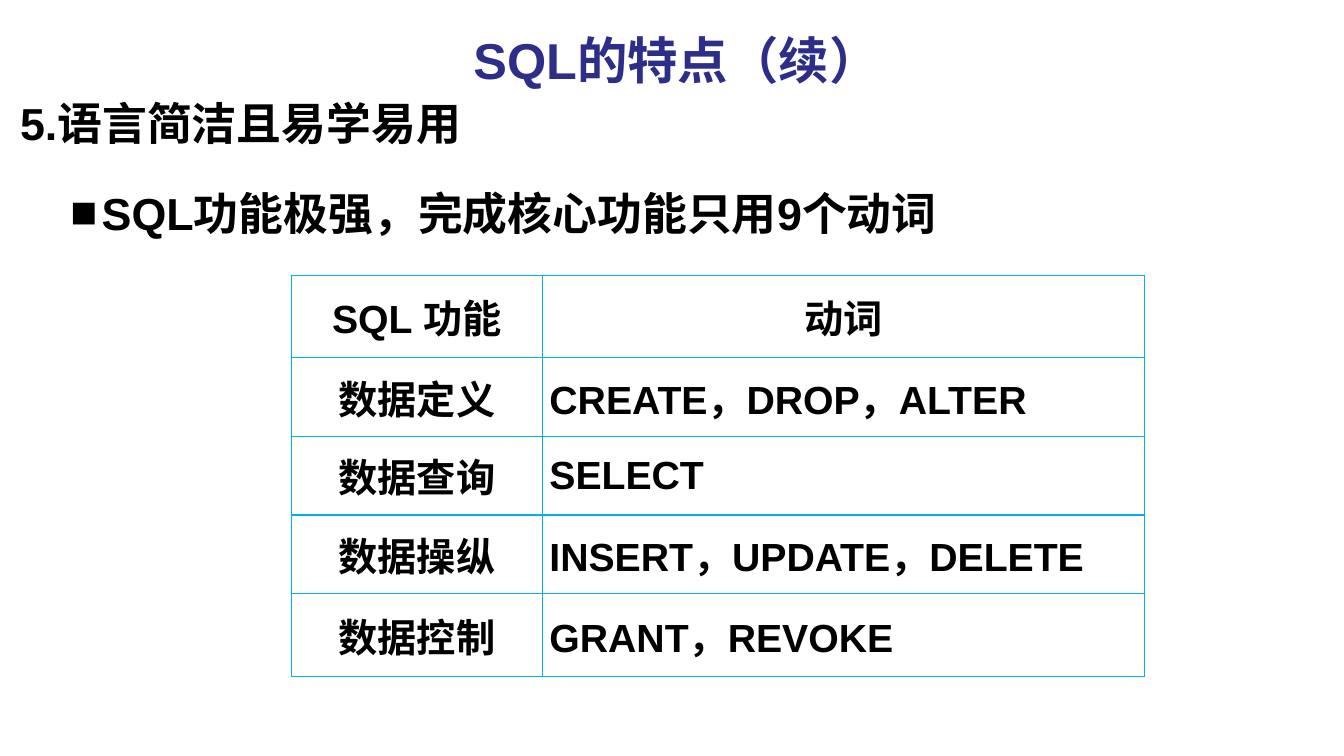
from lxml.etree import SubElement
from pptx import Presentation
from pptx.dml.color import RGBColor
from pptx.enum.shapes import MSO_SHAPE
from pptx.enum.text import MSO_ANCHOR, PP_ALIGN
from pptx.oxml.ns import qn
from pptx.util import Emu, Inches, Pt

FONT = "Arial"
BLACK, WHITE, NAVY, CYAN = "000000", "FFFFFF", "2D2D8A", "00B0F0"
COLUMN_WIDTHS = (2.49, 5.97)
ROW_HEIGHTS = (0.82, 0.78, 0.78, 0.78, 0.82)
VERBS = (
    ("SQL\u00a0功能", "动词"),
    ("数据定义", "CREATE，DROP，ALTER"),
    ("数据查询", "SELECT"),
    ("数据操纵", "INSERT，UPDATE，DELETE"),
    ("数据控制", "GRANT，REVOKE"),
)


def color(hex_string):
    """Turn a hex string into a colour."""
    return RGBColor.from_string(hex_string)


def write(para, text, size, hex_string=BLACK, align=PP_ALIGN.LEFT):
    """Fill a paragraph with bold text."""
    para.text = text
    para.alignment = align
    para.font.name = FONT
    para.font.size = Pt(size)
    para.font.bold = True
    para.font.color.rgb = color(hex_string)


def add_bullet(para, symbol, margin, indent):
    """Give a paragraph a hanging bullet."""
    properties = para._p.get_or_add_pPr()
    properties.set("marL", str(Inches(margin)))
    properties.set("indent", str(Inches(indent)))
    SubElement(properties, qn("a:buFont")).set("typeface", FONT)
    SubElement(properties, qn("a:buChar")).set("char", symbol)


def add_borders(cell, hex_string, width):
    """Draw a line on all four sides of a cell."""
    properties = cell._tc.get_or_add_tcPr()
    for index, side in enumerate(("lnL", "lnR", "lnT", "lnB")):
        line = SubElement(properties, qn(f"a:{side}"), w=str(Pt(width)))
        fill = SubElement(line, qn("a:solidFill"))
        SubElement(fill, qn("a:srgbClr")).set("val", hex_string)
        properties.insert(index, line)


def add_title(page, box):
    """Place the centred slide title."""
    frame = page.shapes.add_textbox(*box).text_frame
    frame.word_wrap = True
    frame.vertical_anchor = MSO_ANCHOR.MIDDLE
    write(frame.paragraphs[0], "SQL的特点（续）", 36, NAVY, PP_ALIGN.CENTER)


def add_body(page, box):
    """Place the white panel with the heading and its bullet."""
    panel = page.shapes.add_shape(MSO_SHAPE.RECTANGLE, *box)
    panel.shadow.inherit = False
    panel.fill.solid()
    panel.fill.fore_color.rgb = color(WHITE)
    panel.line.fill.background()
    frame = panel.text_frame
    frame.word_wrap = True
    frame.vertical_anchor = MSO_ANCHOR.TOP
    heading, point = frame.paragraphs[0], frame.add_paragraph()
    write(heading, "5.语言简洁且易学易用", 32)
    write(point, "SQL功能极强，完成核心功能只用9个动词", 32)
    for para in (heading, point):
        para.space_before = Pt(6.4)
    point.line_spacing = 1.5
    add_bullet(point, "■", 0.81, -0.31)


def add_verb_table(page, box):
    """Place the table of SQL functions and their verbs."""
    table = page.shapes.add_table(len(VERBS), len(COLUMN_WIDTHS), *box).table
    table.first_row = table.horz_banding = False
    for column, width in zip(table.columns, COLUMN_WIDTHS):
        column.width = Emu(int(box[2] * width / sum(COLUMN_WIDTHS)))
    for row, height in zip(table.rows, ROW_HEIGHTS):
        row.height = Emu(int(box[3] * height / sum(ROW_HEIGHTS)))
    for row, texts in enumerate(VERBS):
        for column, text in enumerate(texts):
            cell = table.cell(row, column)
            cell.fill.background()
            cell.vertical_anchor = MSO_ANCHOR.MIDDLE
            cell.margin_left = cell.margin_right = Inches(0.07)
            cell.margin_top = cell.margin_bottom = 0
            centred = row == 0 or column == 0
            align = PP_ALIGN.CENTER if centred else PP_ALIGN.JUSTIFY
            write(cell.text_frame.paragraphs[0], text, 28, align=align)
            add_borders(cell, CYAN, 1)


def main():
    """Build the slide and save it."""
    deck = Presentation()
    deck.slide_width, deck.slide_height = Inches(13.33), Inches(7.5)
    page = deck.slides.add_slide(deck.slide_layouts[6])
    regions = (
        (add_title, (2.67, 0.28, 8.08, 0.61)),
        (add_body, (0.1, 0.9, 13.22, 6.11)),
        (add_verb_table, (2.89, 2.73, 8.46, 3.98)),
    )
    for add_region, box in regions:
        add_region(page, [Inches(length) for length in box])
    deck.save("out.pptx")


if __name__ == "__main__":
    main()
